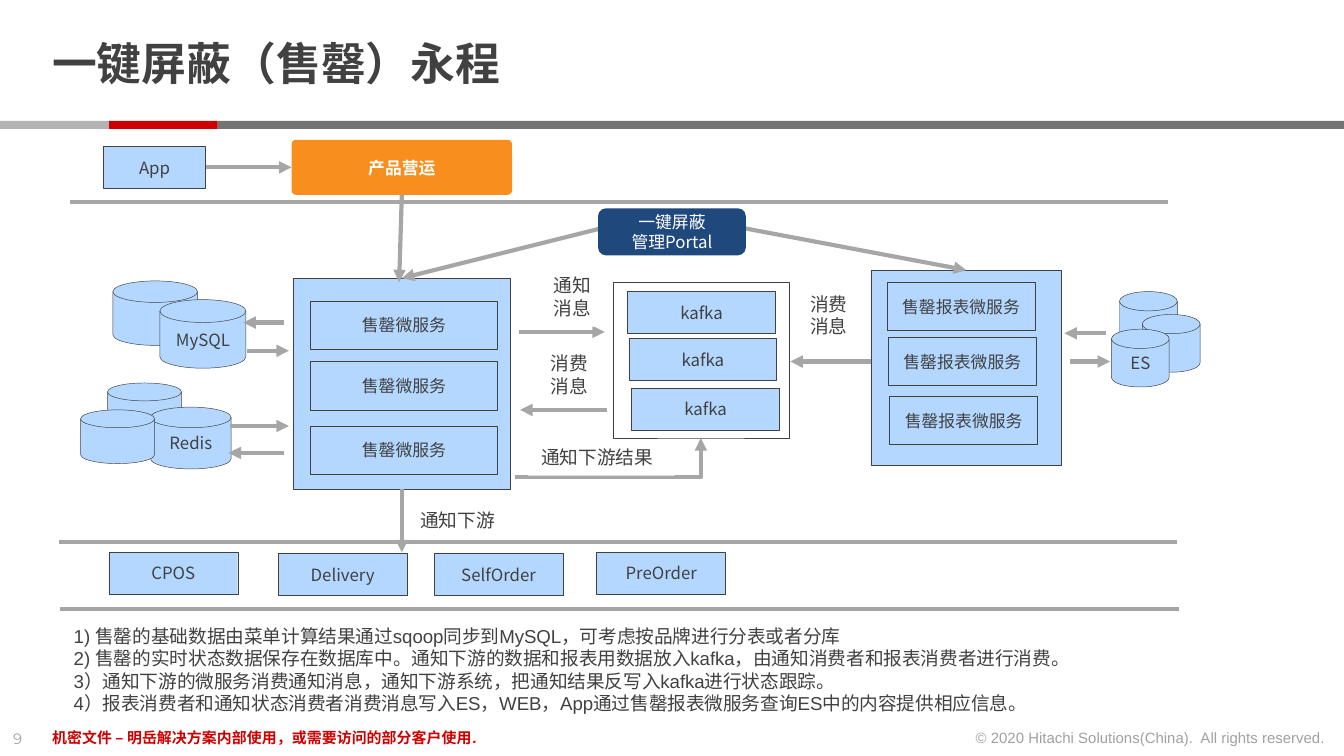
"""Build the sold-out blocking flow slide and save it."""
from dataclasses import dataclass
from typing import Optional

from lxml import etree
from pptx import Presentation
from pptx.dml.color import RGBColor
from pptx.enum.shapes import MSO_CONNECTOR, MSO_SHAPE
from pptx.enum.text import MSO_ANCHOR, PP_ALIGN
from pptx.oxml.ns import qn
from pptx.util import Pt

PX = 9144
RECT, ROUND = MSO_SHAPE.RECTANGLE, MSO_SHAPE.ROUNDED_RECTANGLE
DISK = MSO_SHAPE.FLOWCHART_MAGNETIC_DISK
STRAIGHT, ELBOW = MSO_CONNECTOR.STRAIGHT, MSO_CONNECTOR.ELBOW
LEFT, CENTER, RIGHT = PP_ALIGN.LEFT, PP_ALIGN.CENTER, PP_ALIGN.RIGHT
TOP, MIDDLE = MSO_ANCHOR.TOP, MSO_ANCHOR.MIDDLE
SITE_TOP, SITE_LEFT, SITE_BOTTOM, SITE_RIGHT = range(4)

INK = RGBColor(0x41, 0x41, 0x41)
MUTED = RGBColor(0xA0, 0xA0, 0xA0)
WHITE = RGBColor(0xFF, 0xFF, 0xFF)
RED = RGBColor(0xCC, 0x00, 0x00)
LIGHT_GRAY = RGBColor(0xB3, 0xB3, 0xB3)
DARK_GRAY = RGBColor(0x73, 0x73, 0x73)
LINE_GRAY = RGBColor(0xA6, 0xA6, 0xA6)
SKY = RGBColor(0xB3, 0xD7, 0xFF)
NAVY = RGBColor(0x1F, 0x49, 0x7D)
ORANGE = RGBColor(0xF7, 0x8E, 0x1E)
SANS, ARIAL, MONTSERRAT = "Noto Sans CJK SC", "Arial", "Montserrat"


@dataclass(frozen=True)
class Style:
    size: int = 9
    font: str = SANS
    color: RGBColor = INK
    bold: bool = False
    align: PP_ALIGN = CENTER
    anchor: MSO_ANCHOR = MIDDLE


NODE = Style()
LABEL = Style(10, ARIAL, align=LEFT, anchor=TOP)


@dataclass(frozen=True)
class Box:
    x: int
    y: int
    w: int
    h: int
    text: str = ""
    kind: MSO_SHAPE = RECT
    fill: Optional[RGBColor] = SKY
    outline: Optional[RGBColor] = INK
    style: Style = NODE


@dataclass(frozen=True)
class Link:
    x1: int
    y1: int
    x2: int
    y2: int
    head: bool = True
    begin: Optional[tuple] = None
    end: Optional[tuple] = None
    kind: MSO_CONNECTOR = STRAIGHT


NOTES = (
    "1) 售罄的基础数据由菜单计算结果通过sqoop同步到MySQL，可考虑按品牌进行分表或者分库",
    "2) 售罄的实时状态数据保存在数据库中。通知下游的数据和报表用数据放入kafka，由通知消费者和报表消费者进行消费。",
    "3）通知下游的微服务消费通知消息，通知下游系统，把通知结果反写入kafka进行状态跟踪。",
    "4）报表消费者和通知状态消费者消费消息写入ES，WEB，App通过售罄报表微服务查询ES中的内容提供相应信息。",
)


def write(shape, text: str, style: Style, wrap: bool = True):
    tf = shape.text_frame
    tf.word_wrap = wrap
    tf.vertical_anchor = style.anchor
    for i, line in enumerate(text.split("\n")):
        p = tf.paragraphs[0] if i == 0 else tf.add_paragraph()
        p.alignment = style.align
        p.font.size = Pt(style.size)
        p.font.name = style.font
        p.font.bold = style.bold
        p.font.color.rgb = style.color
        p.add_run().text = line
    return tf


def add_box(s, box: Box):
    sp = s.shapes.add_shape(box.kind, *(v * PX for v in (box.x, box.y, box.w, box.h)))
    sp.shadow.inherit = False
    if box.fill is None:
        sp.fill.background()
    else:
        sp.fill.solid()
        sp.fill.fore_color.rgb = box.fill
    if box.outline is None:
        sp.line.fill.background()
    else:
        sp.line.color.rgb = box.outline
        sp.line.width = Pt(0.25)
    if box.text:
        write(sp, box.text, box.style)
    return sp


def add_text(s, x: int, y: int, w: int, h: int, text: str, style: Style, wrap: bool = True):
    return write(s.shapes.add_textbox(x * PX, y * PX, w * PX, h * PX), text, style, wrap)


def add_link(s, link: Link) -> None:
    c = s.shapes.add_connector(link.kind, *(v * PX for v in (link.x1, link.y1, link.x2, link.y2)))
    if link.begin:
        c.begin_connect(*link.begin)
    if link.end:
        c.end_connect(*link.end)
    c.line.color.rgb = LINE_GRAY
    c.line.width = Pt(2.25)
    sp_pr = c._element.spPr
    if link.kind == ELBOW:
        sp_pr.find(qn("a:prstGeom")).set("prst", "bentConnector2")
    if link.head:
        etree.SubElement(sp_pr.find(qn("a:ln")), qn("a:tailEnd"), type="triangle")
    etree.SubElement(sp_pr, qn("a:effectLst"))


def add_frame(s) -> None:
    for x, w, color in ((162, 838, DARK_GRAY), (81, 81, RED), (0, 81, LIGHT_GRAY)):
        add_box(s, Box(x, 90, w, 6, fill=color, outline=None))
    tf = add_text(s, 29, 13, 771, 73, "一键屏蔽（售罄）永程", Style(24, MONTSERRAT, bold=True, align=LEFT))
    tf.margin_top = tf.margin_bottom = 0
    tf.paragraphs[0].line_spacing = 0.85
    add_text(s, 0, 538, 34, 24, "9", Style(8, MONTSERRAT, MUTED, align=LEFT, anchor=TOP), False)
    add_text(s, 29, 537, 674, 24, "机密文件 – 明岳解决方案内部使用，或需要访问的部分客户使用.",
             Style(8, ARIAL, RED, True, LEFT, TOP))
    add_text(s, 712, 537, 284, 24, "© 2020 Hitachi Solutions(China).  All rights reserved.",
             Style(8, ARIAL, MUTED, align=RIGHT, anchor=TOP))


def add_diagram(s) -> None:
    app = add_box(s, Box(77, 109, 76, 31, "App"))
    service = add_box(s, Box(218, 207, 162, 157))
    report = add_box(s, Box(648, 201, 142, 145))
    for y in (224, 269, 317):
        add_box(s, Box(231, y, 139, 36, "售罄微服务"))
    for x, y in ((660, 210), (661, 251), (662, 295)):
        add_box(s, Box(x, y, 110, 36, "售罄报表微服务"))
    for x, y in ((467, 217), (468, 252), (470, 289)):
        add_box(s, Box(x, y, 110, 31, "kafka"))
    queue = add_box(s, Box(456, 210, 131, 116, fill=None))
    for x, y, text in ((81, 411, "CPOS"), (207, 412, "Delivery"),
                       (323, 412, "SelfOrder"), (444, 411, "PreOrder")):
        add_box(s, Box(x, y, 96, 31, text))
    for x, y, w, h, text in (
        (84, 209, 63, 48, ""), (119, 223, 64, 51, "MySQL"),
        (80, 285, 55, 40, ""), (112, 303, 60, 46, "Redis"), (60, 305, 55, 40, ""),
        (833, 217, 43, 43, ""), (850, 234, 43, 43, ""), (827, 245, 43, 43, "ES"),
    ):
        add_box(s, Box(x, y, w, h, text, DISK))
    product = add_box(s, Box(217, 104, 164, 41, "产品营运", ROUND, ORANGE, None,
                             Style(color=WHITE, bold=True)))
    product.adjustments[0] = 0.08

    for link in (
        Link(52, 150, 869, 150, False),
        Link(44, 403, 876, 403, False),
        Link(45, 453, 877, 453, False),
        Link(211, 240, 181, 240),
        Link(184, 261, 215, 261),
        Link(171, 317, 215, 317),
        Link(211, 337, 170, 337),
        Link(386, 247, 450, 247),
        Link(452, 305, 387, 305),
        Link(648, 269, 588, 269),
        Link(823, 248, 792, 248),
        Link(796, 269, 826, 269),
        Link(153, 125, 217, 125, begin=(app, SITE_RIGHT), end=(product, SITE_LEFT)),
        Link(299, 145, 297, 210, begin=(product, SITE_BOTTOM)),
        Link(499, 157, 299, 207, end=(service, SITE_TOP)),
        Link(491, 158, 719, 201, end=(report, SITE_TOP)),
        Link(299, 364, 299, 411, begin=(service, SITE_BOTTOM)),
        Link(383, 355, 522, 326, end=(queue, SITE_BOTTOM), kind=ELBOW),
    ):
        add_link(s, link)

    for x, y, w, h, text in (
        (402, 199, 52, 44, "通知消息"), (400, 257, 52, 44, "消费消息"),
        (593, 213, 52, 44, "消费消息"), (303, 374, 76, 27, "通知下游"),
        (393, 327, 109, 27, "通知下游结果"), (45, 460, 825, 77, "\n".join(NOTES)),
    ):
        add_box(s, Box(x, y, w, h, text, RECT, WHITE, None, LABEL))
    add_box(s, Box(445, 155, 110, 35, "一键屏蔽\n管理Portal", ROUND, NAVY, None, Style(color=WHITE)))


def main() -> None:
    prs = Presentation()
    prs.slide_width = 1000 * PX
    prs.slide_height = prs.slide_width * 9 // 16
    s = prs.slides.add_slide(prs.slide_layouts[6])
    add_frame(s)
    add_diagram(s)
    prs.save("out.pptx")


if __name__ == "__main__":
    main()
